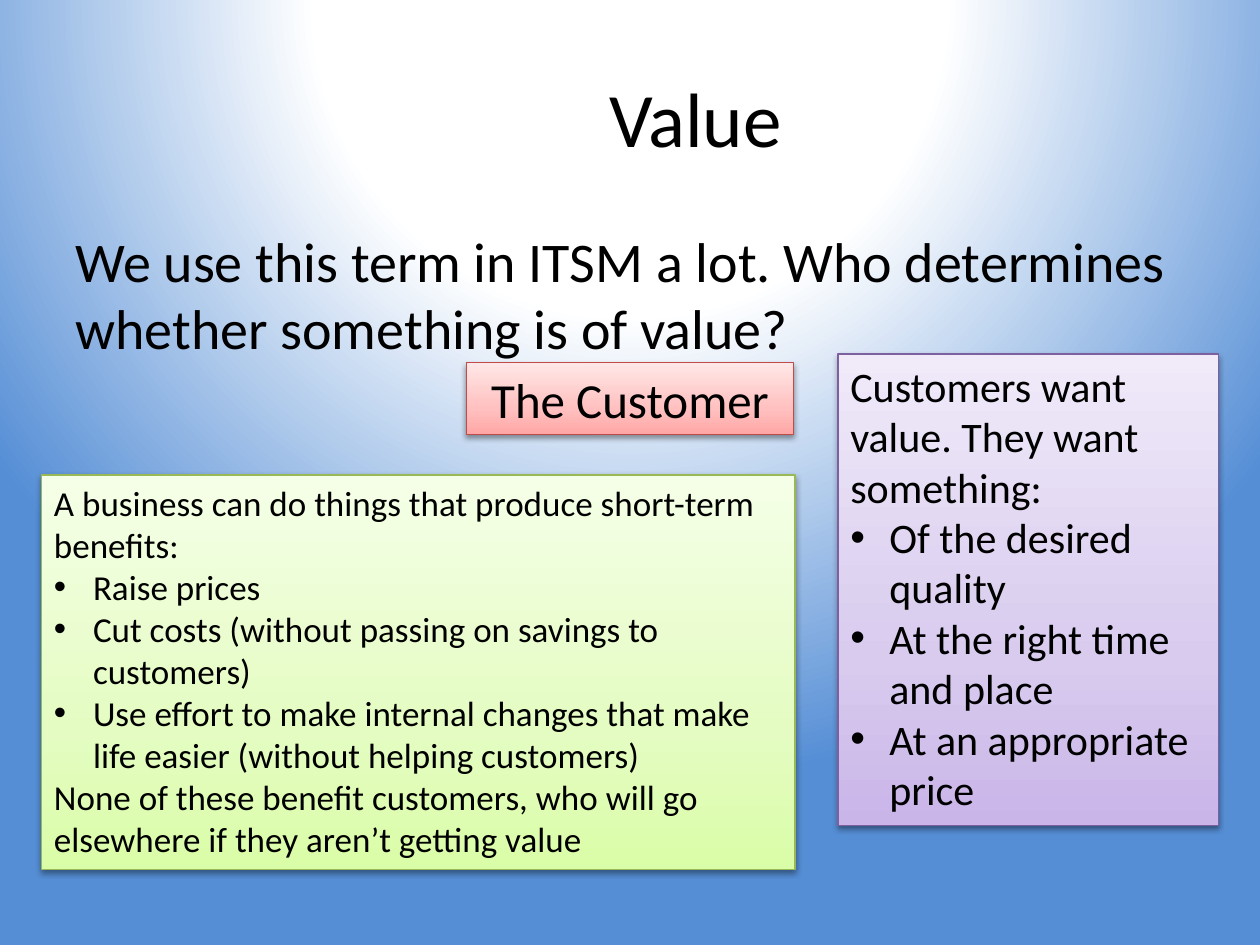
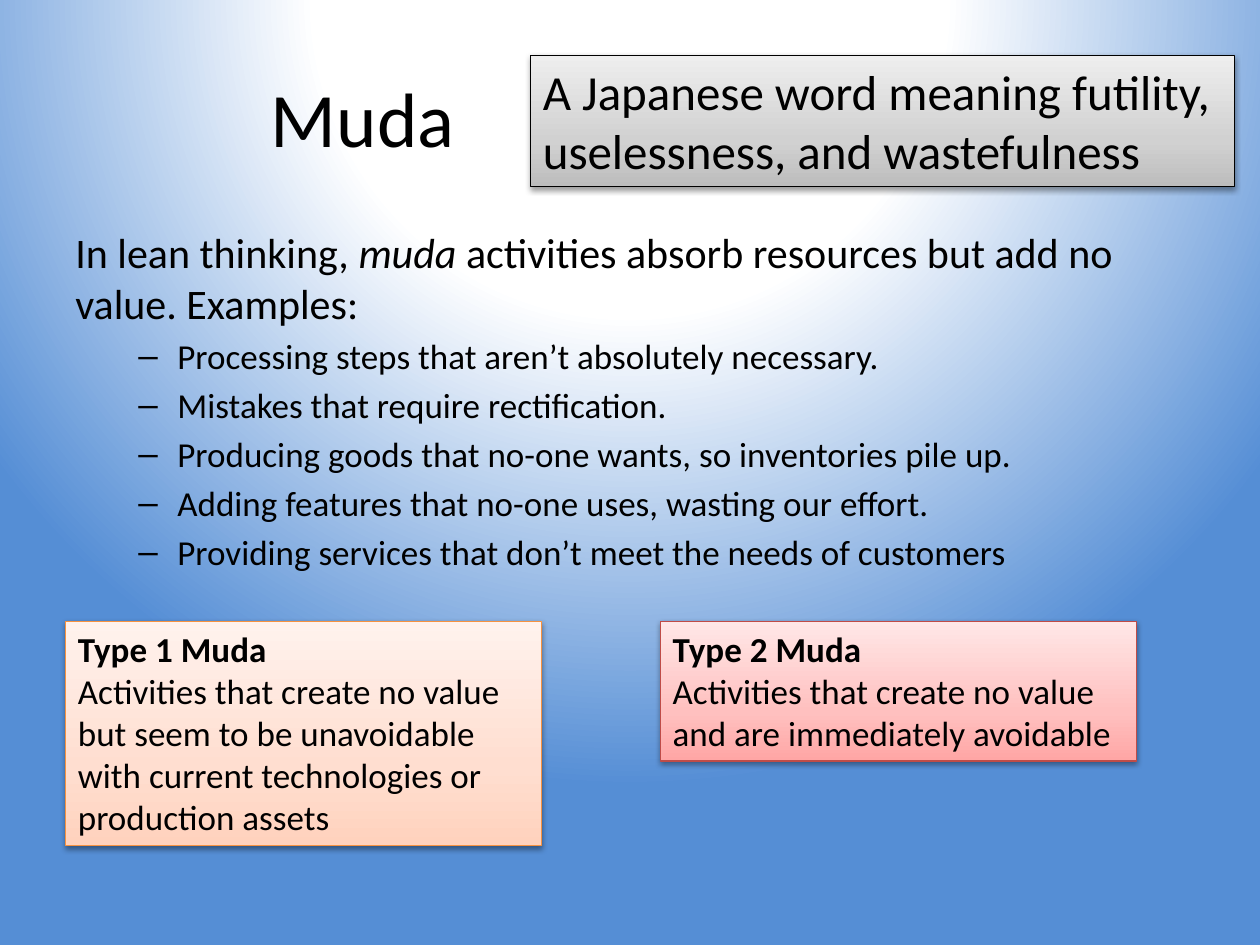
from pptx import Presentation, oxml
from pptx import util as u
from pptx.dml import color
from pptx.enum import shapes, text
from pptx.oxml import ns

PX = 9144
FONT = "Calibri"
INK = "000000"
SKY = [(0, "FFFFFF", 100), (40, "FFFFFF", 57), (100, "558ED5", 56)]
TINTS = {
    "red": ("FFA6A5", "FFC0BF", "FFE7E7", "BF4C48"),
    "green": ("DAFDA7", "E4FCC2", "F5FFE7", "98B955"),
    "violet": ("C9B5E8", "D8CBEE", "F0EAF9", "7D60A0"),
    "gray": ("BDBDBD", "D1D1D1", "EEEEEE", "000000"),
    "orange": ("FFD2BD", "FFDED0", "FFF2ED", "F69240"),
}
NS = ns.nsdecls("a", "p")
BULLET = dict(bullet="•", left=31)
DASH = dict(bullet="–", left=81, gap=4)


def grad(stops, tail):
    marks = "".join(
        f'<a:gs pos="{pos * 1000}"><a:srgbClr val="{tone}">'
        f'<a:alpha val="{alpha * 1000}"/></a:srgbClr></a:gs>'
        for pos, tone, alpha in stops
    )
    return f'<a:gradFill {NS} rotWithShape="1"><a:gsLst>{marks}</a:gsLst>{tail}</a:gradFill>'


def put(frame, words, size=20, bold=False, center=False, bullet="", left=0, gap=0):
    para = frame.paragraphs[0]
    if para.runs:
        para = frame.add_paragraph()
    para.alignment = text.PP_ALIGN.CENTER if center else text.PP_ALIGN.LEFT
    para.space_before = u.Pt(gap)
    if bullet:
        props = para._p.get_or_add_pPr()
        props.set("marL", str(left * PX))
        props.set("indent", str(-31 * PX))
        props.append(oxml.parse_xml(f'<a:buFont {NS} typeface="Arial"/>'))
        props.append(oxml.parse_xml(f'<a:buChar {NS} char="{bullet}"/>'))
    for n, part in enumerate(words.split("*")):
        run = para.add_run()
        run.text = part
        font = run.font
        font.name, font.size = FONT, u.Pt(size)
        font.bold, font.italic = bold, n % 2 == 1
        font.color.rgb = color.RGBColor.from_string(INK)


TITLE = dict(size=44, center=True)
BODY = (50, 175, 900, 495)
value = [
    ((154, 30, 796, 125), None, [("Value", TITLE)]),
    (BODY, None, [
        ("We use this term in ITSM a lot. Who determines whether something is of value?",
         dict(size=32)),
    ]),
    ((370, 288, 260, 57), "red", [("The Customer", dict(size=28, center=True))]),
    ((33, 377, 598, 313), "green", [
        ("A business can do things that produce short-term benefits:", {}),
        ("Raise prices", BULLET),
        ("Cut costs (without passing on savings to customers)", BULLET),
        ("Use effort to make internal changes that make life easier "
         "(without helping customers)", BULLET),
        ("None of these benefit customers, who will go elsewhere "
         "if they aren’t getting value", {}),
    ]),
    ((665, 281, 302, 374), "violet", [
        ("Customers want value. They want something:", dict(size=24)),
        ("Of the desired quality", dict(BULLET, size=24)),
        ("At the right time and place", dict(BULLET, size=24)),
        ("At an appropriate price", dict(BULLET, size=24)),
    ]),
]
muda = [
    ((154, 30, 268, 125), None, [("Muda", TITLE)]),
    (BODY, None, [
        ("In lean thinking, *muda* activities absorb resources but add no value. Examples:",
         dict(size=24)),
        ("Processing steps that aren’t absolutely necessary.", DASH),
        ("Mistakes that require rectification.", DASH),
        ("Producing goods that no-one wants, so inventories pile up.", DASH),
        ("Adding features that no-one uses, wasting our effort.", DASH),
        ("Providing services that don’t meet the needs of customers", DASH),
    ]),
    ((421, 44, 559, 104), "gray", [
        ("A Japanese word meaning futility, uselessness, and wastefulness", dict(size=28)),
    ]),
    ((52, 493, 378, 178), "orange", [
        ("Type 1 Muda", dict(bold=True)),
        ("Activities that create no value but seem to be unavoidable "
         "with current technologies or production assets", {}),
    ]),
    ((524, 493, 378, 111), "red", [
        ("Type 2 Muda", dict(bold=True)),
        ("Activities that create no value and are immediately avoidable", {}),
    ]),
]

deck = Presentation()
deck.slide_width, deck.slide_height = 1000 * PX, 750 * PX
glow = grad(SKY, '<a:path path="circle"><a:fillToRect l="50000" t="-80000" '
                 'r="50000" b="180000"/></a:path>')

for items in (value, muda):
    slide = deck.slides.add_slide(deck.slide_layouts[6])
    slide._element.cSld.insert(0, oxml.parse_xml(
        f"<p:bg {NS}><p:bgPr>{glow}<a:effectLst/></p:bgPr></p:bg>"))
    for place, tint, lines in items:
        spot = [n * PX for n in place]
        if tint:
            box = slide.shapes.add_shape(shapes.MSO_SHAPE.RECTANGLE, *spot)
            *tones, edge = TINTS[tint]
            box.line.color.rgb = color.RGBColor.from_string(edge)
            box.line.width = u.Pt(0.75)
            fill = grad(zip((0, 35, 100), tones, (100, 100, 100)),
                        '<a:lin ang="16200000" scaled="1"/>')
            box.line._ln.addprevious(oxml.parse_xml(fill))
            box.shadow.inherit = False
            box._element.spPr.find(ns.qn("a:effectLst")).append(oxml.parse_xml(
                f'<a:outerShdw {NS} blurRad="40000" dist="20000" dir="5400000" '
                f'rotWithShape="0"><a:srgbClr val="{INK}"><a:alpha val="38000"/>'
                "</a:srgbClr></a:outerShdw>"))
        else:
            box = slide.shapes.add_textbox(*spot)
        frame = box.text_frame
        frame.word_wrap = True
        frame.auto_size = (text.MSO_AUTO_SIZE.SHAPE_TO_FIT_TEXT if tint
                           else text.MSO_AUTO_SIZE.NONE)
        middle = lines[0][1] is TITLE
        frame.vertical_anchor = text.MSO_ANCHOR.MIDDLE if middle else text.MSO_ANCHOR.TOP
        for words, form in lines:
            put(frame, words, **form)

deck.save("out.pptx")
